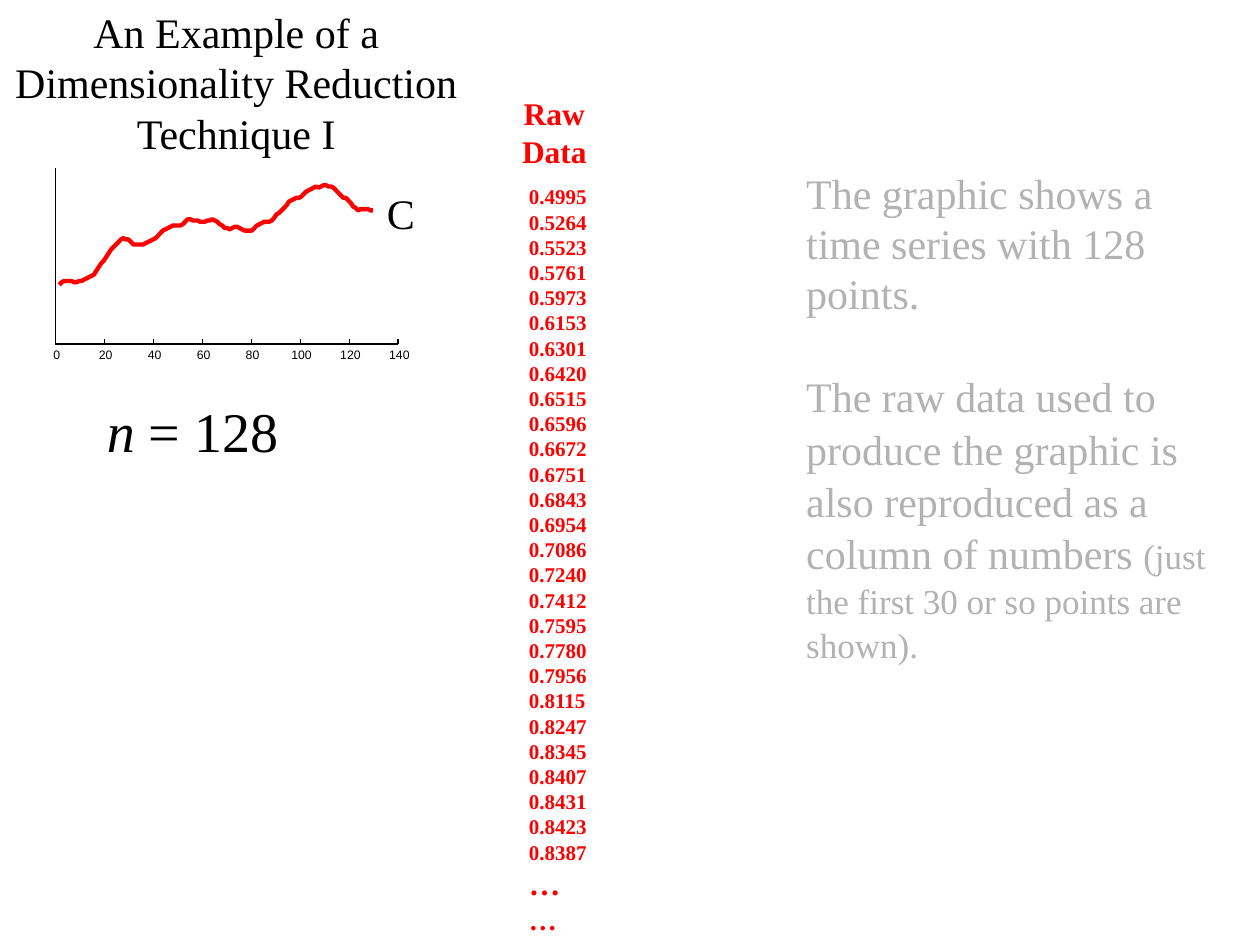
from lxml.etree import SubElement
from pptx import Presentation
from pptx.dml.color import RGBColor
from pptx.enum.shapes import MSO_CONNECTOR
from pptx.enum.text import MSO_ANCHOR, MSO_AUTO_SIZE, PP_ALIGN
from pptx.oxml.ns import qn
from pptx.util import Inches, Pt

COLORS = {"ink": "000000", "data": "FF0000", "note": "B2B2B2"}
SERIF = "Times New Roman"
LEAD = 1.2  # line pitch as a multiple of the text size

deck = Presentation()
deck.slide_width, deck.slide_height = Inches(10), Inches(7.5)
slide = deck.slides.add_slide(deck.slide_layouts[5])
shapes = slide.shapes


def write(shape, paras, color, align=PP_ALIGN.LEFT, anchor=MSO_ANCHOR.TOP,
          face=SERIF, bold=False, inset=True):
    """Fill a shape; each paragraph is a list of (text, size, italic) runs."""
    frame = shape.text_frame
    frame.word_wrap = True
    frame.auto_size = MSO_AUTO_SIZE.NONE
    frame.vertical_anchor = anchor
    if not inset:
        frame.margin_left = frame.margin_right = 0
        frame.margin_top = frame.margin_bottom = 0
    for i, runs in enumerate(paras):
        para = frame.add_paragraph() if i else frame.paragraphs[0]
        para.alignment = align
        sizes = {size for _, size, _ in runs}
        # Mixed sizes need proportional spacing
        para.line_spacing = Pt(LEAD * max(sizes)) if len(sizes) == 1 else 1.04
        for text, size, italic in runs:
            run = para.add_run()
            run.text = text
            font = run.font
            font.name, font.size = face, Pt(size)
            font.bold, font.italic = bold, italic
            font.color.rgb = RGBColor.from_string(COLORS[color])
    return frame


def rule(x1, y1, x2, y2):
    """Draw one thin axis line."""
    line = shapes.add_connector(MSO_CONNECTOR.STRAIGHT, Inches(x1), Inches(y1),
                                Inches(x2), Inches(y2))
    line.line.color.rgb = RGBColor.from_string(COLORS["ink"])
    line.line.width = Pt(0.75)
    SubElement(line._element.spPr, qn("a:effectLst"))


# Axes
LEFT, RIGHT, TOP, BASE = 0.44, 3.16, 1.33, 2.73
rule(LEFT, BASE, RIGHT, BASE)
rule(LEFT, BASE, LEFT, TOP)

# Ticks and their labels
for mark in range(0, 141, 20):
    x = LEFT + (RIGHT - LEFT) * mark / 140
    rule(x, BASE, x, BASE - 0.04)
    label = shapes.add_textbox(Inches(x - 0.14), Inches(2.76), Inches(0.3), Inches(0.12))
    write(label, [[(str(mark), 7, False)]], "ink", PP_ALIGN.CENTER,
          face="Arial", inset=False)

# Time series: heights in hundredths of an inch at even steps
HEIGHTS = [
    226, 224, 223, 223, 223, 223, 224, 224, 223, 223, 222, 221, 220, 219, 218, 215,
    212, 209, 207, 204, 201, 198, 196, 194, 192, 190, 189, 190, 190, 192, 194, 194,
    194, 194, 194, 193, 192, 191, 190, 189, 187, 185, 183, 182, 181, 180, 179, 179,
    179, 179, 178, 176, 174, 174, 175, 175, 175, 176, 176, 176, 175, 175, 174, 175,
    176, 178, 179, 181, 181, 182, 181, 180, 180, 181, 182, 183, 183, 183, 183, 181,
    179, 178, 177, 176, 176, 176, 175, 173, 170, 169, 167, 165, 163, 160, 159, 158,
    157, 157, 156, 154, 152, 151, 150, 149, 148, 149, 148, 147, 147, 148, 148, 149,
    151, 153, 155, 157, 157, 159, 161, 164, 165, 167, 166, 166, 166, 166, 167, 167,
]
step = 2.49 / (len(HEIGHTS) - 1)
points = [(Inches(0.47 + i * step), Inches(y / 100)) for i, y in enumerate(HEIGHTS)]
path = shapes.build_freeform(*points[0])
path.add_line_segments(points[1:], close=False)
curve = path.convert_to_shape()
curve.shadow.inherit = False
curve.fill.background()
curve.line.color.rgb = RGBColor.from_string(COLORS["data"])
curve.line.width = Pt(2.5)

name = shapes.add_textbox(Inches(3.07), Inches(1.49), Inches(0.3), Inches(0.4))
write(name, [[("C", 24, False)]], "ink", inset=False)

# Title
title = shapes.title
title.left, title.top, title.width, title.height = 0, 0, Inches(3.75), Inches(1.7)
write(title, [[("An Example of a Dimensionality Reduction Technique I", 24, False)]],
      "ink", PP_ALIGN.CENTER)

# Raw data column
VALUES = """0.4995 0.5264 0.5523 0.5761 0.5973 0.6153 0.6301 0.6420 0.6515
0.6596 0.6672 0.6751 0.6843 0.6954 0.7086 0.7240 0.7412 0.7595 0.7780
0.7956 0.8115 0.8247 0.8345 0.8407 0.8431 0.8423 0.8387""".split()
rows = [[(value, 12, False)] for value in VALUES]
rows += [[("…", size, False)] for size in (18, 16)]
column = shapes.add_textbox(Inches(4.1), Inches(1.41), Inches(0.8), Inches(6.09))
write(column, rows, "data", bold=True)

head = shapes.add_textbox(Inches(3.95), Inches(0.7), Inches(0.9), Inches(0.7))
write(head, [[("Raw", 18, False)], [("Data", 18, False)]], "data",
      PP_ALIGN.CENTER, bold=True)

# Commentary
note = shapes.add_textbox(Inches(6.3), Inches(1.32), Inches(3.55), Inches(3.97))
frame = write(note, [
    [("The graphic shows a time series with 128 points.", 24, False)],
    [("The raw data used to produce the graphic is also reproduced as a "
      "column of numbers ", 24, False),
     ("(just the first 30 or so points are shown).", 20, False)],
], "note", anchor=MSO_ANCHOR.MIDDLE)
frame.paragraphs[1].space_before = Pt(LEAD * 24)

# Series length
count = shapes.add_textbox(Inches(0.63), Inches(3.09), Inches(1.8), Inches(0.64))
write(count, [[("n", 32, True), (" = 128", 32, False)]], "ink",
      PP_ALIGN.CENTER, MSO_ANCHOR.MIDDLE)

deck.save("out.pptx")
